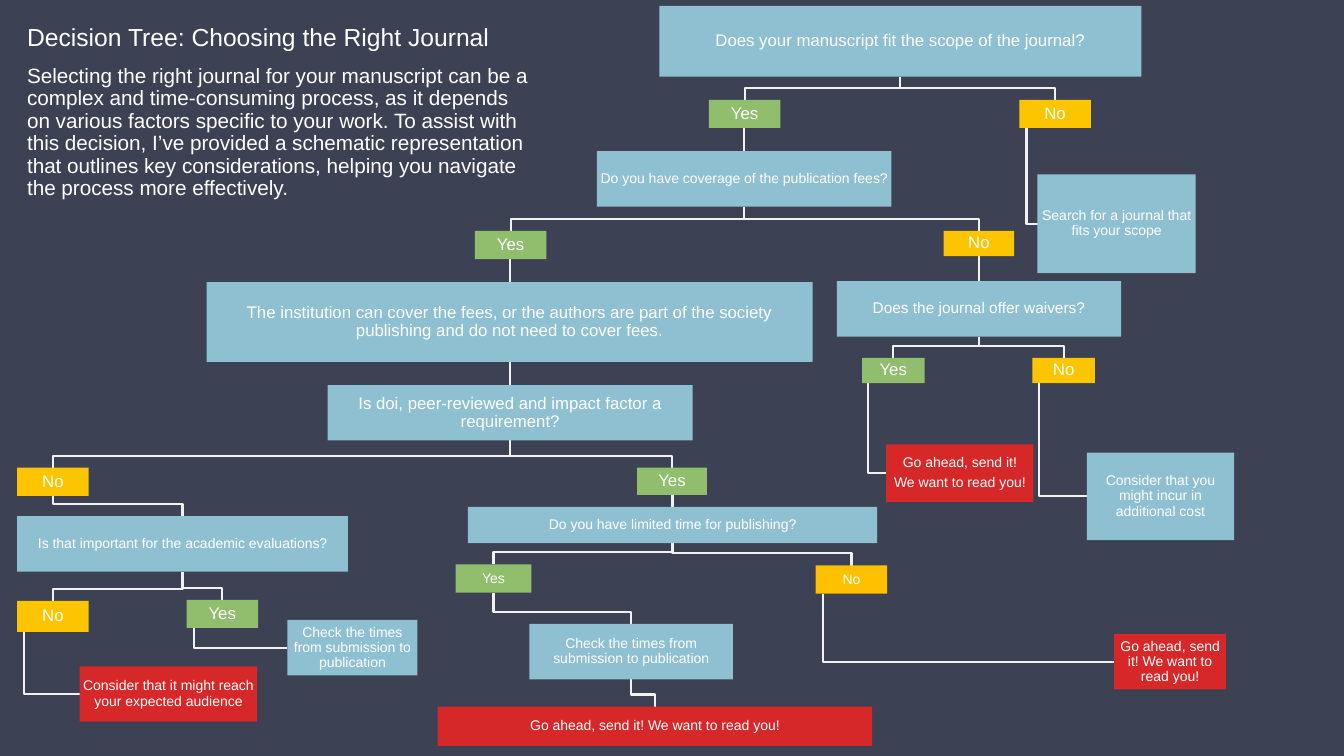
from lxml import etree
from pptx import Presentation
from pptx.dml.color import RGBColor
from pptx.enum.shapes import MSO_CONNECTOR, MSO_SHAPE
from pptx.enum.text import MSO_ANCHOR, PP_ALIGN
from pptx.oxml.ns import qn
from pptx.util import Inches, Pt

STRAIGHT = MSO_CONNECTOR.STRAIGHT
RECTANGLE = MSO_SHAPE.RECTANGLE
MIDDLE = MSO_ANCHOR.MIDDLE
CENTER = PP_ALIGN.CENTER

COLORS = {
    "background": "3C4154",
    "question": "8FC0D1",
    "yes": "90BE6D",
    "no": "FDC500",
    "amber": "FFC000",
    "send": "D62828",
    "line": "F2F2F2",
    "text": "FFFFFF",
}
FONT = "Arial"
BEND_GAP = 0.12
SIDE_SHARE = 0.1

SEND = "Go ahead, send it! We want to read you!"
CHECK_TIMES = "Check the times from submission to publication"

BOXES = {
    "scope": (6.54, 0.06, 4.78, 0.7, "question", 12, ["Does your manuscript fit the scope of the journal?"]),
    "scope yes": (7.03, 0.99, 0.71, 0.28, "yes", 12, ["Yes"]),
    "fees": (5.92, 1.5, 2.92, 0.55, "question", 10, ["Do you have coverage of the publication fees?"]),
    "fees yes": (4.71, 2.29, 0.71, 0.28, "yes", 12, ["Yes"]),
    "institution": (2.05, 2.8, 6.01, 0.79, "question", 12, [
        "The institution can cover the fees, or the authors are part of the society "
        "publishing and do not need to cover fees."]),
    "requirement": (3.25, 3.82, 3.62, 0.55, "question", 12, [
        "Is doi, peer-reviewed and impact factor a requirement?"]),
    "requirement no": (0.17, 4.64, 0.71, 0.28, "no", 12, ["No"]),
    "evaluations": (0.17, 5.12, 3.28, 0.55, "question", 10, ["Is that important for the academic evaluations?"]),
    "evaluations no": (0.17, 5.96, 0.71, 0.31, "no", 12, ["No"]),
    "audience": (0.79, 6.61, 1.76, 0.55, "send", 10, ["Consider that it might reach your expected audience"]),
    "evaluations yes": (1.85, 5.95, 0.71, 0.28, "yes", 12, ["Yes"]),
    "evaluation times": (2.85, 6.15, 1.29, 0.55, "question", 10, [CHECK_TIMES]),
    "requirement yes": (6.32, 4.64, 0.69, 0.27, "yes", 12, ["Yes"]),
    "limited time": (4.64, 5.03, 4.06, 0.36, "question", 10, ["Do you have limited time for publishing?"]),
    "time no": (8.09, 5.61, 0.71, 0.28, "amber", 10, ["No"]),
    "time no send": (11.05, 6.29, 1.11, 0.55, "send", 10, [SEND]),
    "time yes": (4.52, 5.6, 0.75, 0.28, "yes", 10, ["Yes"]),
    "limited times": (5.25, 6.19, 2.02, 0.55, "question", 10, [CHECK_TIMES]),
    "time yes send": (4.34, 7.01, 4.31, 0.39, "send", 10, [SEND]),
    "fees no": (9.36, 2.29, 0.7, 0.25, "no", 12, ["No"]),
    "waivers": (8.3, 2.79, 2.82, 0.55, "question", 11, ["Does the journal offer waivers?"]),
    "waivers yes": (8.55, 3.55, 0.62, 0.25, "yes", 12, ["Yes"]),
    "waivers send": (8.79, 4.41, 1.46, 0.57, "send", 10, ["Go ahead, send it!", "We want to read you!"]),
    "waivers no": (10.24, 3.55, 0.62, 0.25, "no", 12, ["No"]),
    "cost": (10.78, 4.49, 1.46, 0.87, "question", 10, ["Consider that you might incur in additional cost"]),
    "scope no": (10.11, 0.99, 0.71, 0.28, "no", 12, ["No"]),
    "search": (10.29, 1.73, 1.57, 0.98, "question", 10, ["Search for a journal that fits your scope"]),
}

DOWN_BRANCHES = [
    ("scope", "scope yes"), ("scope", "scope no"), ("scope yes", "fees"),
    ("fees", "fees yes"), ("fees", "fees no"), ("fees no", "waivers"),
    ("waivers", "waivers yes"), ("waivers", "waivers no"),
    ("fees yes", "institution"), ("institution", "requirement"),
    ("requirement", "requirement no"), ("requirement", "requirement yes"),
    ("requirement no", "evaluations"),
    ("evaluations", "evaluations no"), ("evaluations", "evaluations yes"),
    ("requirement yes", "limited time"),
    ("limited time", "time yes"), ("limited time", "time no"),
    ("time yes", "limited times"), ("limited times", "time yes send"),
]
SIDE_BRANCHES = [
    ("scope no", "search"), ("waivers yes", "waivers send"), ("waivers no", "cost"),
    ("evaluations no", "audience"), ("evaluations yes", "evaluation times"),
    ("time no", "time no send"),
]


def draw_branch(slide, points):
    corners = [(Inches(x), Inches(y)) for x, y in points]
    if len(corners) == 2:
        branch = slide.shapes.add_connector(STRAIGHT, *corners[0], *corners[1])
        etree.SubElement(branch._element.spPr, qn("a:effectLst"))
    else:
        builder = slide.shapes.build_freeform(*corners[0])
        builder.add_line_segments(corners[1:], close=False)
        branch = builder.convert_to_shape()
        branch.fill.background()
        branch.shadow.inherit = False
    branch.line.color.rgb = RGBColor.from_string(COLORS["line"])
    branch.line.width = Pt(1.5)


def add_text(paragraph, text, size):
    paragraph.line_spacing = 0.9
    run = paragraph.add_run()
    run.text = text
    run.font.name = FONT
    run.font.size = Pt(size)
    run.font.color.rgb = RGBColor.from_string(COLORS["text"])


presentation = Presentation()
presentation.slide_width = Inches(13.33)
presentation.slide_height = Inches(7.5)
slide = presentation.slides.add_slide(presentation.slide_layouts[6])
slide.background.fill.solid()
slide.background.fill.fore_color.rgb = RGBColor.from_string(COLORS["background"])

for parent, child in DOWN_BRANCHES:
    left, top, width, height = BOXES[parent][:4]
    child_left, child_top, child_width = BOXES[child][:3]
    start_x, start_y = left + width / 2, top + height
    end_x = child_left + child_width / 2
    if abs(start_x - end_x) < 0.03:
        draw_branch(slide, [(end_x, start_y), (end_x, child_top)])
    else:
        bend_y = child_top - BEND_GAP
        draw_branch(slide, [(start_x, start_y), (start_x, bend_y), (end_x, bend_y), (end_x, child_top)])

for parent, child in SIDE_BRANCHES:
    left, top, width, height = BOXES[parent][:4]
    child_left, child_top, child_width, child_height = BOXES[child][:4]
    start_x = left + width * SIDE_SHARE
    end_y = child_top + child_height / 2
    draw_branch(slide, [(start_x, top + height), (start_x, end_y), (child_left, end_y)])

for left, top, width, height, color, size, lines in BOXES.values():
    box = slide.shapes.add_shape(RECTANGLE, Inches(left), Inches(top), Inches(width), Inches(height))
    box.shadow.inherit = False
    box.fill.solid()
    box.fill.fore_color.rgb = RGBColor.from_string(COLORS[color])
    box.line.fill.background()
    frame = box.text_frame
    frame.word_wrap = True
    frame.vertical_anchor = MIDDLE
    frame.margin_left = frame.margin_right = frame.margin_top = frame.margin_bottom = Inches(0.01)
    for index, line in enumerate(lines):
        paragraph = frame.add_paragraph() if index else frame.paragraphs[0]
        paragraph.alignment = CENTER
        paragraph.space_after = Pt(size * 0.35)
        add_text(paragraph, line, size)

introduction = slide.shapes.add_textbox(Inches(0.17), Inches(0.2), Inches(5.24), Inches(2.19))
introduction.text_frame.word_wrap = True
heading = introduction.text_frame.paragraphs[0]
summary = introduction.text_frame.add_paragraph()
heading.space_before = summary.space_before = Pt(10)
add_text(heading, "Decision Tree: Choosing the Right Journal", 17.6)
add_text(
    summary,
    "Selecting the right journal for your manuscript can be a complex and time-consuming process, "
    "as it depends on various factors specific to your work. To assist with this decision, I’ve "
    "provided a schematic representation that outlines key considerations, helping you navigate "
    "the process more effectively.",
    14.8,
)

presentation.save("out.pptx")
